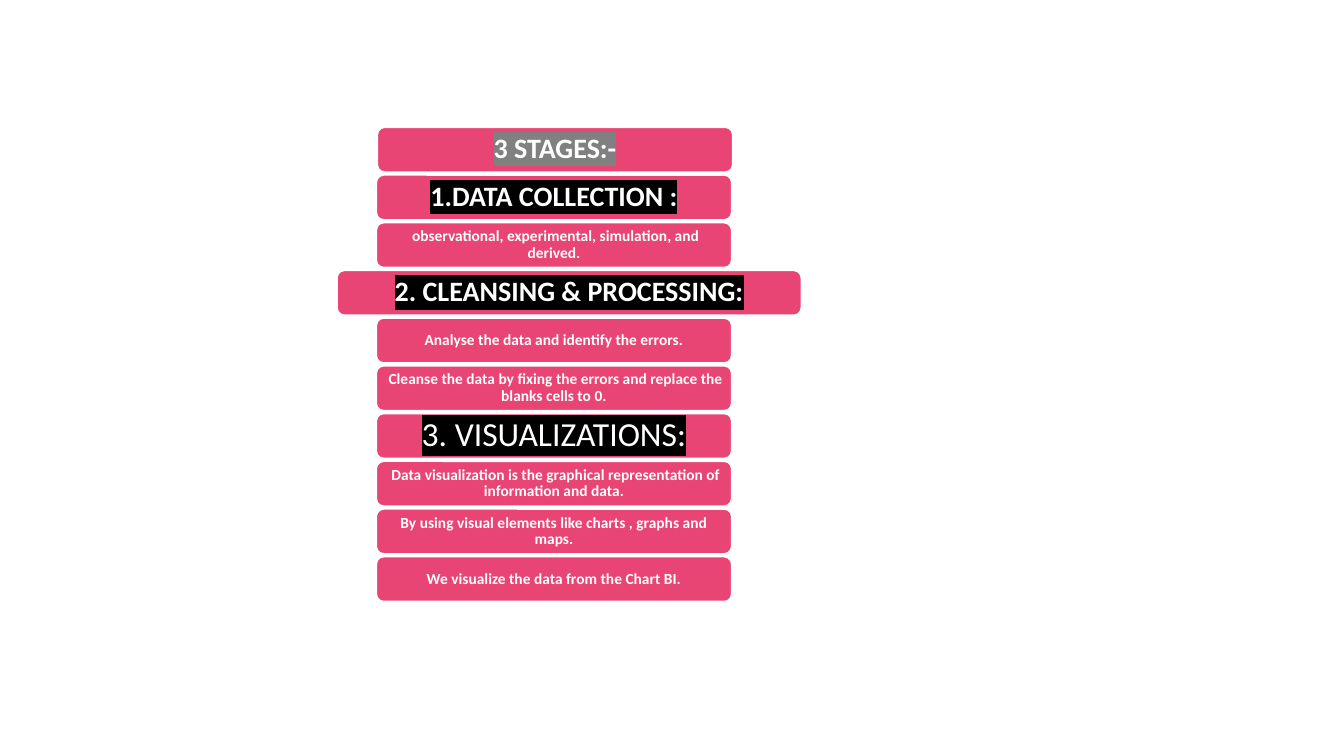
from lxml.etree import SubElement
from pptx import Presentation
from pptx.dml.color import RGBColor
from pptx.enum.shapes import MSO_SHAPE
from pptx.enum.text import MSO_ANCHOR, PP_ALIGN
from pptx.oxml.ns import qn
from pptx.util import Inches, Pt

PINK, WHITE, GREY, BLACK = "E84574", "FFFFFF", "808080", "000000"

# style: font size, bold, side inset, top and bottom inset, highlight
STYLES = {
    "title": (20, True, 0.08, 0.04, GREY),
    "stage": (20, True, 0.08, 0.04, BLACK),
    "last stage": (24, False, 0.1, 0.05, BLACK),
    "detail": (11, True, 0.05, 0.02, None),
}
BARS = [
    ("title", "3 STAGES:-"),
    ("stage", "1.DATA COLLECTION :"),
    ("detail", " observational, experimental, simulation, and derived."),
    ("stage", "2. CLEANSING & PROCESSING:"),
    ("detail", "Analyse the data and identify the errors."),
    ("detail", " Cleanse the data by fixing the errors and replace the blanks cells to 0."),
    ("last stage", "3. VISUALIZATIONS:"),
    ("detail", " Data visualization is the graphical representation of information and data."),
    ("detail", "By using visual elements like charts , graphs and maps."),
    ("detail", "We visualize the data from the Chart BI."),
]
LEFT, TOP, WIDTH, HEIGHT = 3.73, 1.26, 3.53, 0.45
PITCH = 4.26 / (len(BARS) - 1)
# bars that leave the common column: row -> (left, width)
EXCEPTIONS = {0: (3.74, WIDTH), 3: (3.34, 4.61)}


def rgb(value):
    return RGBColor.from_string(value)


def highlight(run, colour):
    """Put a marker colour behind a run whose font colour is already set."""
    properties = run.font._element
    marker = SubElement(properties, qn("a:highlight"))
    SubElement(marker, qn("a:srgbClr"), val=colour)
    properties.find(qn("a:solidFill")).addnext(marker)


def add_bar(slide, row, style, wording):
    size, bold, side, edge, marker = STYLES[style]
    left, width = EXCEPTIONS.get(row, (LEFT, WIDTH))
    bar = slide.shapes.add_shape(
        MSO_SHAPE.ROUNDED_RECTANGLE, Inches(left), Inches(TOP + row * PITCH),
        Inches(width), Inches(HEIGHT))
    bar.shadow.inherit = False
    bar.fill.solid()
    bar.fill.fore_color.rgb = rgb(PINK)
    bar.line.color.rgb = rgb(WHITE)
    bar.line.width = Pt(1.5)

    frame = bar.text_frame
    frame.word_wrap = True
    frame.vertical_anchor = MSO_ANCHOR.MIDDLE
    frame.margin_left = frame.margin_right = Inches(side)
    frame.margin_top = frame.margin_bottom = Inches(edge)
    frame.text = wording
    paragraph = frame.paragraphs[0]
    paragraph.alignment = PP_ALIGN.CENTER
    paragraph.line_spacing = 0.9
    run = paragraph.runs[0]
    run.font.size = Pt(size)
    run.font.bold = bold
    run.font.color.rgb = rgb(WHITE)
    run.font.name = "Calibri"
    if marker:
        highlight(run, marker)


def main():
    deck = Presentation()
    deck.slide_width, deck.slide_height = Inches(13.33), Inches(7.5)
    slide = deck.slides.add_slide(deck.slide_layouts[6])
    for row, (style, wording) in enumerate(BARS):
        add_bar(slide, row, style, wording)
    deck.save("out.pptx")


if __name__ == "__main__":
    main()
